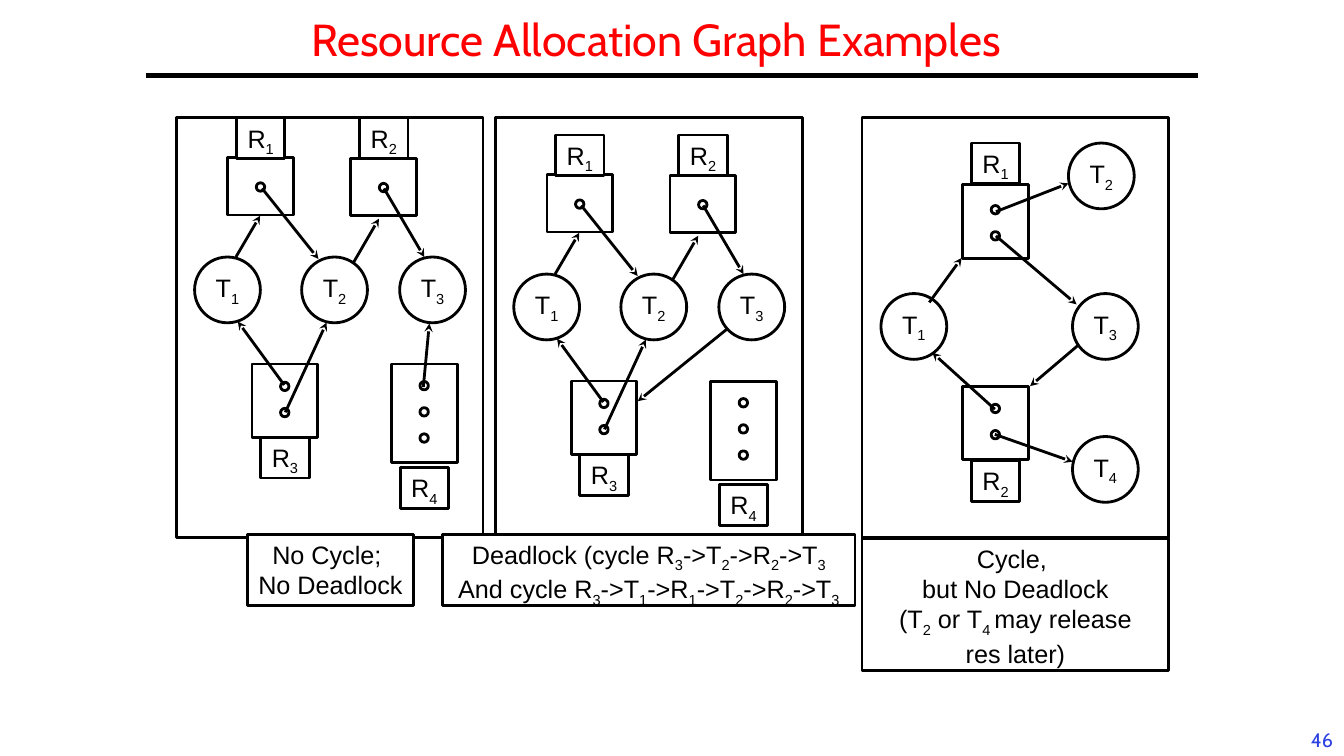
from lxml.etree import SubElement
from pptx import Presentation
from pptx.dml.color import RGBColor
from pptx.enum.shapes import MSO_CONNECTOR, MSO_SHAPE
from pptx.enum.text import MSO_ANCHOR, PP_ALIGN
from pptx.oxml.ns import qn
from pptx.util import Pt

BLACK, WHITE, RED, BLUE = "000000", "FFFFFF", "FF0000", "2A40E2"
NODE_SIZE = 47
DOT_SIZE = 6
DOT_PITCH = 18.7
PANEL_TOP, PANEL_WIDTH, PANEL_HEIGHT = 84, 219, 300

SHARED_ARROWS = [
    (168.5, 183.6, 185.8, 154.1),
    (187.2, 134.6, 227.5, 185),
    (252.7, 187.2, 270.7, 156.2),
    (274.3, 134.6, 303.1, 183.6),
    (203, 275, 169.9, 229.7),
    (203.8, 294.5, 233.3, 230.4),
]
CYCLE_ARROWS = [
    (663.8, 216, 686.9, 184.3),
    (710.6, 292.3, 666, 252),
    (710.6, 310.3, 766.1, 329.8),
    (769.7, 247, 735.8, 275.8),
    (711.4, 168.5, 769, 217.4),
    (711.4, 151.2, 763.2, 131),
]


def color(value):
    """Return the colour for a hex string."""
    return RGBColor.from_string(value)


def write_text(box, lines, font="Arial", size=18, ink=BLACK, anchor=MSO_ANCHOR.TOP,
               wrap=False, spacing=None):
    """Write centred lines; text between underscores is set as a subscript."""
    frame = box.text_frame
    frame.word_wrap = wrap
    frame.vertical_anchor = anchor
    for index, line in enumerate(lines):
        para = frame.add_paragraph() if index else frame.paragraphs[0]
        para.alignment = PP_ALIGN.CENTER
        if spacing:
            para.line_spacing = spacing
        for position, piece in enumerate(line.split("_")):
            if not piece:
                continue
            span = para.add_run()
            span.text = piece
            span.font.name = font
            span.font.size = Pt(size)
            span.font.color.rgb = color(ink)
            if position % 2:
                span.font._element.set("baseline", "-25000")


def add_label(page, left, top, width, height, text, **style):
    """Add a text box without fill or outline."""
    box = page.shapes.add_textbox(Pt(left), Pt(top), Pt(width), Pt(height))
    write_text(box, [text], font="Cabin", **style)


def add_outline(shapes, kind, left, top, width, height):
    """Add a white shape with a black outline."""
    shape = shapes.add_shape(kind, Pt(left), Pt(top), Pt(width), Pt(height))
    shape.shadow.inherit = False
    shape.fill.solid()
    shape.fill.fore_color.rgb = color(WHITE)
    shape.line.color.rgb = color(BLACK)
    shape.line.width = Pt(2)
    return shape


def add_box(shapes, left, top, width, height, lines=(), wrap=False):
    """Add an outlined rectangle with optional lines of text."""
    box = add_outline(shapes, MSO_SHAPE.RECTANGLE, left, top, width, height)
    if lines:
        write_text(box, lines, wrap=wrap)


def add_thread(shapes, number, left, top):
    """Add the circle of one thread."""
    circle = add_outline(shapes, MSO_SHAPE.OVAL, left, top, NODE_SIZE, NODE_SIZE)
    write_text(circle, [f"T_{number}_"], anchor=MSO_ANCHOR.MIDDLE)


def add_resource(shapes, number, left, top, height, label_top, instances, first_dot=13):
    """Add a resource box with its instance dots and its name box."""
    add_box(shapes, left, top, NODE_SIZE, height)
    for index in range(instances):
        add_outline(shapes, MSO_SHAPE.OVAL, left + 20.4,
                    top + first_dot + index * DOT_PITCH, DOT_SIZE, DOT_SIZE)
    add_box(shapes, left + 6.2, label_top, 34.6, 29, [f"R_{number}_"])


def add_line(shapes, start_x, start_y, end_x, end_y, width=2, arrow=True):
    """Add a black line, with a stealth arrowhead at its end if wanted."""
    line = shapes.add_connector(MSO_CONNECTOR.STRAIGHT, Pt(start_x), Pt(start_y),
                                Pt(end_x), Pt(end_y))
    line.line.color.rgb = color(BLACK)
    line.line.width = Pt(width)
    if arrow:
        SubElement(line.line._get_or_add_ln(), qn("a:tailEnd"), type="stealth")
    SubElement(line._element.spPr, qn("a:effectLst"))


def add_panel(page, left):
    """Add a framed panel as a group and return its shapes."""
    shapes = page.shapes.add_group_shape().shapes
    add_box(shapes, left, PANEL_TOP, PANEL_WIDTH, PANEL_HEIGHT)
    return shapes


def add_four_resource_graph(shapes, shift_x, shift_y, last_arrow):
    """Draw three threads and four resources, shifted as a whole."""
    for number, left in enumerate((139, 215.5, 285.5), 1):
        add_thread(shapes, number, left + shift_x, 183.6 + shift_y)
    for number, left, top, height, label_top, instances, first_dot in (
        (1, 162.7, 112.6, 41, 84.2, 1, 18),
        (2, 250.6, 113, 41, 84.2, 1, 18),
        (3, 180, 260, 52.6, 312.5, 2, 13),
        (4, 279.6, 260, 70.6, 334, 3, 12.5),
    ):
        add_resource(shapes, number, left + shift_x, top + shift_y, height,
                     label_top + shift_y, instances, first_dot)
    for start_x, start_y, end_x, end_y in SHARED_ARROWS + [last_arrow]:
        add_line(shapes, start_x + shift_x, start_y + shift_y,
                 end_x + shift_x, end_y + shift_y)


def add_cycle_graph(shapes):
    """Draw four threads and two resources that form a harmless cycle."""
    for number, left, top in ((1, 629.3, 209.7), (2, 763.2, 102.2),
                              (3, 766.1, 209.7), (4, 766.1, 311.8)):
        add_thread(shapes, number, left, top)
    add_resource(shapes, 1, 687.6, 131.8, 52.6, 102.2, 2, first_dot=15)
    add_resource(shapes, 2, 687.6, 275.8, 52.6, 329, 2)
    for arrow in CYCLE_ARROWS:
        add_line(shapes, *arrow)


def main():
    """Build the slide and save it."""
    deck = Presentation()
    deck.slide_width, deck.slide_height = Pt(960), Pt(540)
    page = deck.slides.add_slide(deck.slide_layouts[6])

    add_label(page, 928.8, 516.2, 31, 23.8, "46", size=14, ink=BLUE)
    add_line(page.shapes, 104, 54, 856, 54, width=3, arrow=False)
    add_label(page, 143.3, 10, 651, 40.3, "Resource Allocation Graph Examples", size=32,
              ink=RED, anchor=MSO_ANCHOR.MIDDLE, wrap=True, spacing=0.9)

    no_cycle = add_panel(page, 126)
    add_four_resource_graph(no_cycle, 0, 0, (302.4, 276.5, 306.7, 231.1))
    add_box(no_cycle, 176.6, 381.6, 118.8, 51, ["No Cycle; ", "No Deadlock"])

    deadlock = add_panel(page, 354.2)
    add_four_resource_graph(deadlock, 228, 12.2, (290.9, 223.2, 227.6, 274.4))
    add_box(deadlock, 316.2, 381.6, 294.5, 51, [
        "Deadlock (cycle R_3_->T_2_->R_2_->T_3_",
        "And cycle R_3_->T_1_->R_1_->T_2_->R_2_->T_3_",
    ], wrap=True)

    cycle = add_panel(page, 615.8)
    add_cycle_graph(cycle)
    add_box(cycle, 615.8, 384.5, PANEL_WIDTH, 94.3, [
        "Cycle, ", "but No Deadlock", "(T_2_ or T_4 _may release", "res later)",
    ], wrap=True)

    deck.save("out.pptx")


if __name__ == "__main__":
    main()
